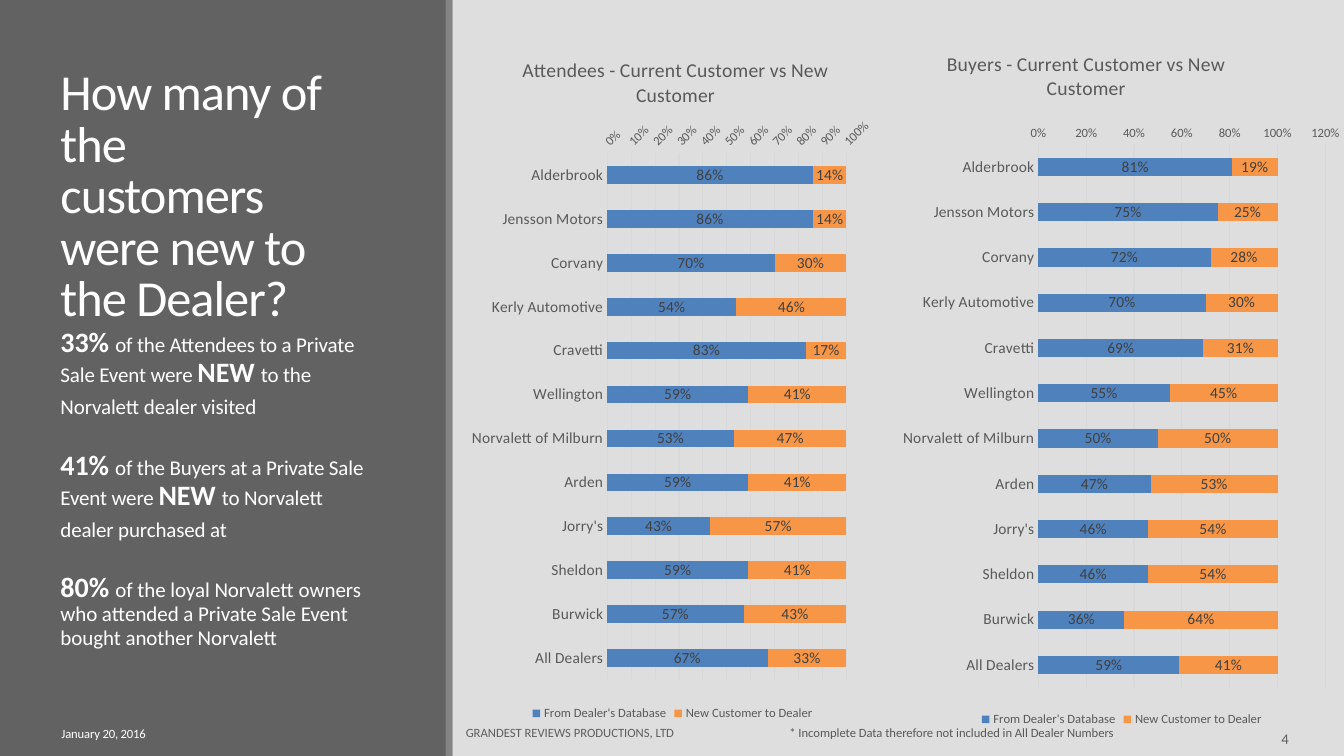
from lxml import etree
from pptx import Presentation
from pptx.chart.data import CategoryChartData
from pptx.dml.color import RGBColor
from pptx.enum.chart import XL_CHART_TYPE, XL_LEGEND_POSITION, XL_TICK_MARK
from pptx.enum.shapes import MSO_SHAPE
from pptx.enum.text import MSO_ANCHOR, MSO_AUTO_SIZE, PP_ALIGN
from pptx.oxml.ns import qn
from pptx.util import Inches, Pt

HUES = {
    "back": "DEDEDE", "panel": "626262", "edge": "848484", "white": "FFFFFF",
    "note": "595958", "foot": "5E5E5E", "text": "595959", "label": "404040",
    "grid": "D9D9D9", "known": "4F81BD", "new": "F79646",
}


def style(font, size, hue, bold=False):
    looks = {"name": "Calibri", "size": Pt(size), "bold": bold}
    for key, value in looks.items():
        setattr(font, key, value)
    font.color.rgb = RGBColor.from_string(HUES[hue])


def place(node, index, spots):
    """Give a chart part a manual layout, as fractions of the chart."""
    for old in node.findall(qn("c:layout")):
        node.remove(old)
    layout = etree.Element(qn("c:layout"))
    manual = etree.SubElement(layout, qn("c:manualLayout"))
    for tag, value in spots.items():
        etree.SubElement(manual, qn("c:" + tag)).set("val", str(value))
    node.insert(index, layout)


deck = Presentation()
deck.slide_width, deck.slide_height = Inches(13.33), Inches(7.5)
slide = deck.slides.add_slide(deck.slide_layouts[5])
shapes = slide.shapes

# Background panels
for left, width, hue in [(4.49, 8.84, "back"), (0, 4.43, "panel"), (4.42, 0.07, "edge")]:
    panel = shapes.add_shape(MSO_SHAPE.RECTANGLE, Inches(left), 0, Inches(width), Inches(7.5))
    panel.shadow.inherit = False
    panel.fill.solid()
    panel.fill.fore_color.rgb = RGBColor.from_string(HUES[hue])
    panel.line.fill.background()

# Title, brought in front of the panels
title = shapes.title
title.element.getparent().append(title.element)

# Texts: box, (left, top, width, height), line spacing, letter spacing, runs
BIG, BODY = (20, "white", True), (15, "white", False)
texts = [
    (title, (0.6, 0.69, 2.75, 2.06), Pt(36.7), -70,
     [("How many of the customers were new to the Dealer?", 36, "white", False)]),
    (None, (0.6, 3.25, 2.98, 0.93), Pt(21.6), -10,
     [("33% ", *BIG), ("of the Attendees to a Private Sale Event were ", *BODY),
      ("NEW ", *BIG), ("to the Norvalett dealer visited", *BODY)]),
    (None, (0.6, 4.47, 3.07, 0.93), Pt(21.6), -10,
     [("41% ", *BIG), ("of the Buyers at a Private Sale Event were ", *BODY),
      ("NEW ", *BIG), ("to Norvalett dealer purchased at", *BODY)]),
    (None, (0.6, 5.68, 3.2, 0.77), 0.92, -5,
     [("80% ", *BIG), ("of the loyal Norvalett owners who attended a Private Sale Event "
                       "bought another Norvalett", *BODY)]),
    (None, (7.83, 7.19, 3.28, 0.15), 1.0, -4,
     [("* Incomplete Data therefore not included in All Dealer Numbers", 9, "note", False)]),
    (None, (0.61, 7.2, 1.06, 0.15), 1.0, -10, [("January 20, 2016", 9, "white", False)]),
    (None, (4.62, 7.19, 2.2, 0.15), 1.0, 0,
     [("GRANDEST REVIEWS PRODUCTIONS, LTD", 9, "foot", False)]),
    (None, (12.71, 7.24, 0.12, 0.17), 1.0, 0, [("4", 10.5, "foot", False)]),
]
for box, spot, lead, track, runs in texts:
    left, top, width, height = map(Inches, spot)
    box = box or shapes.add_textbox(left, top, width, height)
    box.left, box.top, box.width, box.height = left, top, width, height
    frame = box.text_frame
    flow = {"word_wrap": True, "auto_size": MSO_AUTO_SIZE.NONE, "vertical_anchor": MSO_ANCHOR.TOP,
            "margin_left": 0, "margin_top": 0, "margin_right": 0, "margin_bottom": 0}
    for key, value in flow.items():
        setattr(frame, key, value)
    para = frame.paragraphs[0]
    para.alignment, para.line_spacing = PP_ALIGN.LEFT, lead
    for words, size, hue, bold in runs:
        run = para.add_run()
        run.text = words
        style(run.font, size, hue, bold)
        run._r.get_or_add_rPr().set("spc", str(track))

# Charts
dealers = ["Alderbrook", "Jensson Motors", "Corvany", "Kerly Automotive", "Cravetti",
           "Wellington", "Norvalett of Milburn", "Arden", "Jorry's", "Sheldon", "Burwick",
           "All Dealers"]
charts = [
    {"title": "Attendees - Current Customer vs New Customer",
     "spot": (4.61, 0.25, 4.12, 6.94), "head": (0.13, 0.04),
     "plot": (0.343, 0.183, 0.576, 0.753), "top": 1, "step": 0.1, "turn": -2700000,
     "known": [0.86, 0.86, 0.7, 0.54, 0.83, 0.59, 0.53, 0.59, 0.43, 0.59, 0.57, 0.67],
     "new": [0.14, 0.14, 0.3, 0.46, 0.17, 0.41, 0.47, 0.41, 0.57, 0.41, 0.43, 0.33]},
    {"title": "Buyers - Current Customer vs New Customer",
     "spot": (8.88, 0.34, 4.49, 6.91), "head": (0.106, 0.018),
     "plot": (0.316, 0.158, 0.634, 0.78), "top": 1.2, "step": 0.2, "turn": 0,
     "known": [0.81, 0.75, 0.72, 0.7, 0.69, 0.55, 0.5, 0.47, 0.46, 0.46, 0.36, 0.59],
     "new": [0.19, 0.25, 0.28, 0.3, 0.31, 0.45, 0.5, 0.53, 0.54, 0.54, 0.64, 0.41]},
]
for item in charts:
    data = CategoryChartData(number_format="0%")
    data.categories = dealers
    data.add_series("From Dealer's Database", item["known"])
    data.add_series("New Customer to Dealer", item["new"])
    chart = shapes.add_chart(XL_CHART_TYPE.BAR_STACKED, *map(Inches, item["spot"]), data).chart
    chart.font.name, chart.font.size = "Calibri", Pt(10)

    head = chart.chart_title
    head.text_frame.text = item["title"]
    style(head.text_frame.paragraphs[0].runs[0].font, 14, "text")
    place(head._element, 1, dict(xMode="edge", yMode="edge", **dict(zip("xy", item["head"]))))
    area = chart._chartSpace.chart.plotArea
    place(area, 0, dict(layoutTarget="inner", xMode="edge", yMode="edge",
                        **dict(zip("xywh", item["plot"]))))

    chart.has_legend = True
    chart.legend.position = XL_LEGEND_POSITION.BOTTOM
    chart.legend.include_in_layout = False
    style(chart.legend.font, 9, "text")

    names, scale = chart.category_axis, chart.value_axis
    for axis, size in [(names, 11), (scale, 9)]:
        axis.major_tick_mark = axis.minor_tick_mark = XL_TICK_MARK.NONE
        style(axis.tick_labels.font, size, "text")
    names.reverse_order = True
    scale.minimum_scale, scale.maximum_scale, scale.major_unit = 0, item["top"], item["step"]
    scale.tick_labels.number_format = "0%"
    scale.tick_labels.number_format_is_linked = False
    scale._element.txPr.bodyPr.set("rot", str(item["turn"]))
    scale.format.line.fill.background()
    for line in (names.format.line, scale.major_gridlines.format.line):
        line.width = Pt(0.75)
        line.color.rgb = RGBColor.from_string(HUES["grid"])

    plot = chart.plots[0]
    plot.gap_width, plot.overlap, plot.vary_by_categories = 150, 100, False
    for series, hue in zip(plot.series, ("known", "new")):
        series.format.fill.solid()
        series.format.fill.fore_color.rgb = RGBColor.from_string(HUES[hue])
        labels = series.data_labels
        labels.show_value = True
        labels.number_format, labels.number_format_is_linked = "0%", False
        style(labels.font, 11, "label")

deck.save("out.pptx")
